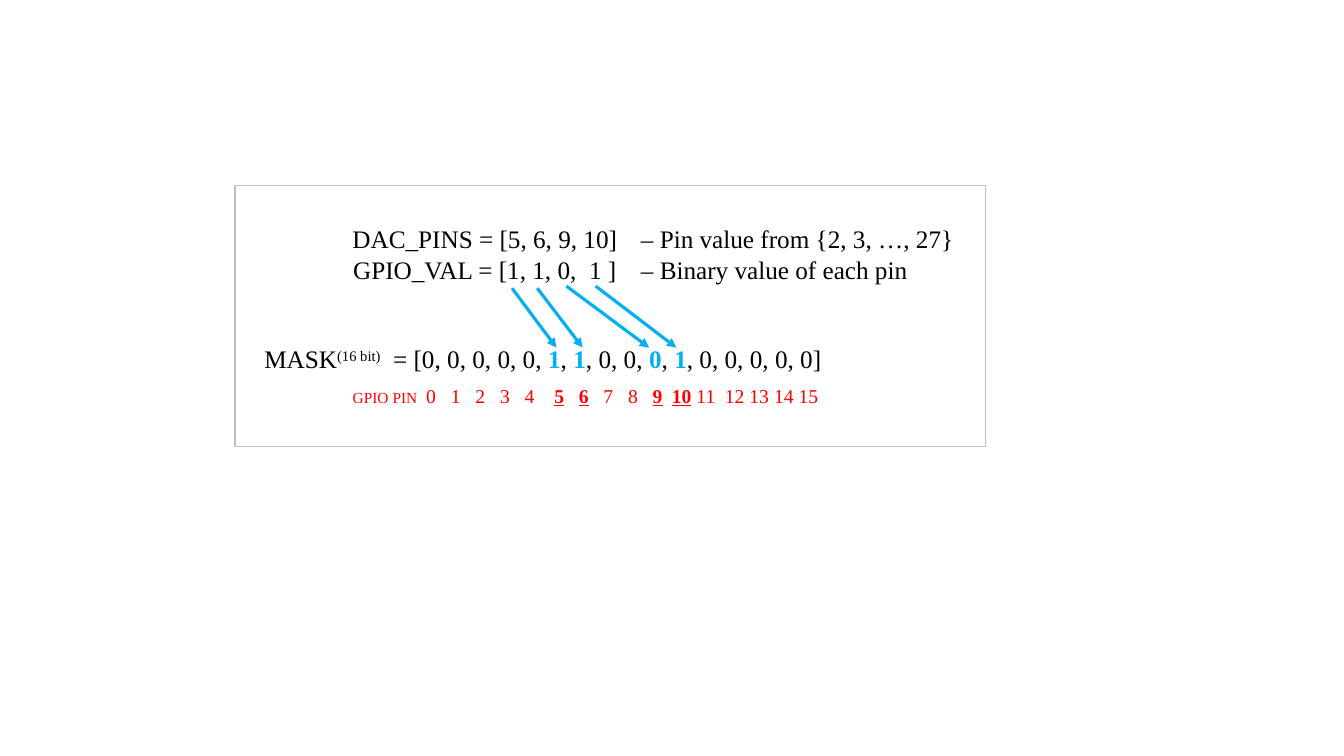
from lxml.etree import SubElement
from pptx import Presentation
from pptx.dml.color import RGBColor
from pptx.enum.shapes import MSO_CONNECTOR, MSO_SHAPE
from pptx.enum.text import MSO_AUTO_SIZE, PP_ALIGN
from pptx.oxml.ns import qn
from pptx.util import Inches, Pt


def paint(target, color):
    """Set a fill's or font's solid colour from a hex string."""
    if hasattr(target, "solid"):
        target.solid()
        target = target.fore_color
    else:
        target = target.color
    target.rgb = RGBColor.from_string(color)


def write_block(left, top, width, height, lines, align):
    """Add a text box whose lines are lists of (text, style) runs."""
    box = slide.shapes.add_textbox(*(round(n * cell) for n in (left, top, width, height)))
    frame = box.text_frame
    frame.word_wrap = True
    frame.auto_size = MSO_AUTO_SIZE.SHAPE_TO_FIT_TEXT
    for index, line in enumerate(lines):
        paragraph = frame.paragraphs[0] if index == 0 else frame.add_paragraph()
        paragraph.alignment = align
        for text, style in line:
            size, color, emphasis = STYLES[style]
            run = paragraph.add_run()
            run.text = text
            run.font.name = "Times New Roman"
            run.font.size = Pt(size)
            run.font.bold = emphasis in ("bold", "underlined")
            run.font.underline = emphasis == "underlined"
            paint(run.font, color)
            if emphasis == "raised":
                run.font._element.set("baseline", "30000")
    return frame


BLACK, RED, BLUE = "000000", "FF0000", "00B0F0"
STYLES = {
    "code": (18, BLACK, None),
    "exponent": (18, BLACK, "raised"),
    "mapped bit": (18, BLUE, "bold"),
    "label": (11, RED, None),
    "pin": (14, RED, None),
    "mapped pin": (14, RED, "underlined"),
}

deck = Presentation()
deck.slide_width, deck.slide_height = Inches(13.33), Inches(7.5)
slide = deck.slides.add_slide(deck.slide_layouts[6])
cell = deck.slide_width / 160  # square grid: 160 columns, 90 rows

panel = slide.shapes.add_shape(
    MSO_SHAPE.RECTANGLE, *(round(n * cell) for n in (28, 22.1, 89.3, 31.1)))
panel.shadow.inherit = False
paint(panel.fill, "FFFFFF")
paint(panel.line.fill, "BFBFBF")
panel.line.width = Pt(1)

# Pin and value lists, with their explanations beside them
write_block(33.72, 26.04, 48, 8.52,
            [[("DAC_PINS = [5, 6, 9, 10]", "code")],
             [("GPIO_VAL = [1, 1, 0,  1 ]", "code")]], PP_ALIGN.CENTER)
write_block(75.12, 26.04, 40.32, 8.52,
            [[("– Pin value from {2, 3, …, 27}", "code")],
             [("– Binary value of each pin", "code")]], PP_ALIGN.LEFT)

# 16-bit mask
mask = [("MASK", "code"), ("(16 bit)", "exponent"), ("  = [0, 0, 0, 0, 0, ", "code"),
        ("1", "mapped bit"), (", ", "code"), ("1", "mapped bit"), (", 0, 0, ", "code"),
        ("0", "mapped bit"), (", ", "code"), ("1", "mapped bit"),
        (", 0, 0, 0, 0, 0]", "code")]
write_block(29.76, 40.32, 69.72, 4.8, [mask], PP_ALIGN.CENTER)

# Pin numbers under the mask, each at its own tab stop
pins = [("GPIO PIN", "label"), ("\t0\t1\t2\t3\t4\t", "pin"), ("5\t6", "mapped pin"),
        ("\t7\t8\t", "pin"), ("9\t10", "mapped pin"), ("\t11\t12\t13\t14\t15", "pin")]
pin_row = write_block(40.8, 45.12, 61.56, 4.08, [pins], PP_ALIGN.LEFT)
tab_list = SubElement(pin_row.paragraphs[0]._p.get_or_add_pPr(), qn("a:tabLst"))
pin_step = 2.93
for first_stop, pin_count in [(8.76, 5), (24, 5), (38, 2), (44.3, 4)]:
    for pin in range(pin_count):
        stop = round((first_stop + pin * pin_step) * cell)
        SubElement(tab_list, qn("a:tab"), pos=str(stop), algn="l")

# Each value points to its bit in the mask
bit_top = 41.4
for value_x, value_bottom, bit_x in [(60.96, 34.32, 66.24), (63.96, 34.32, 69.36),
                                     (70.92, 34.08, 80.52), (67.44, 34.08, 77.28)]:
    arrow = slide.shapes.add_connector(
        MSO_CONNECTOR.STRAIGHT,
        *(round(n * cell) for n in (value_x, value_bottom, bit_x, bit_top)))
    paint(arrow.line.fill, BLUE)
    arrow.line.width = Pt(2.25)
    SubElement(arrow.line._get_or_add_ln(), qn("a:tailEnd"), type="triangle")
    SubElement(arrow._element.spPr, qn("a:effectLst"))

deck.save("out.pptx")
